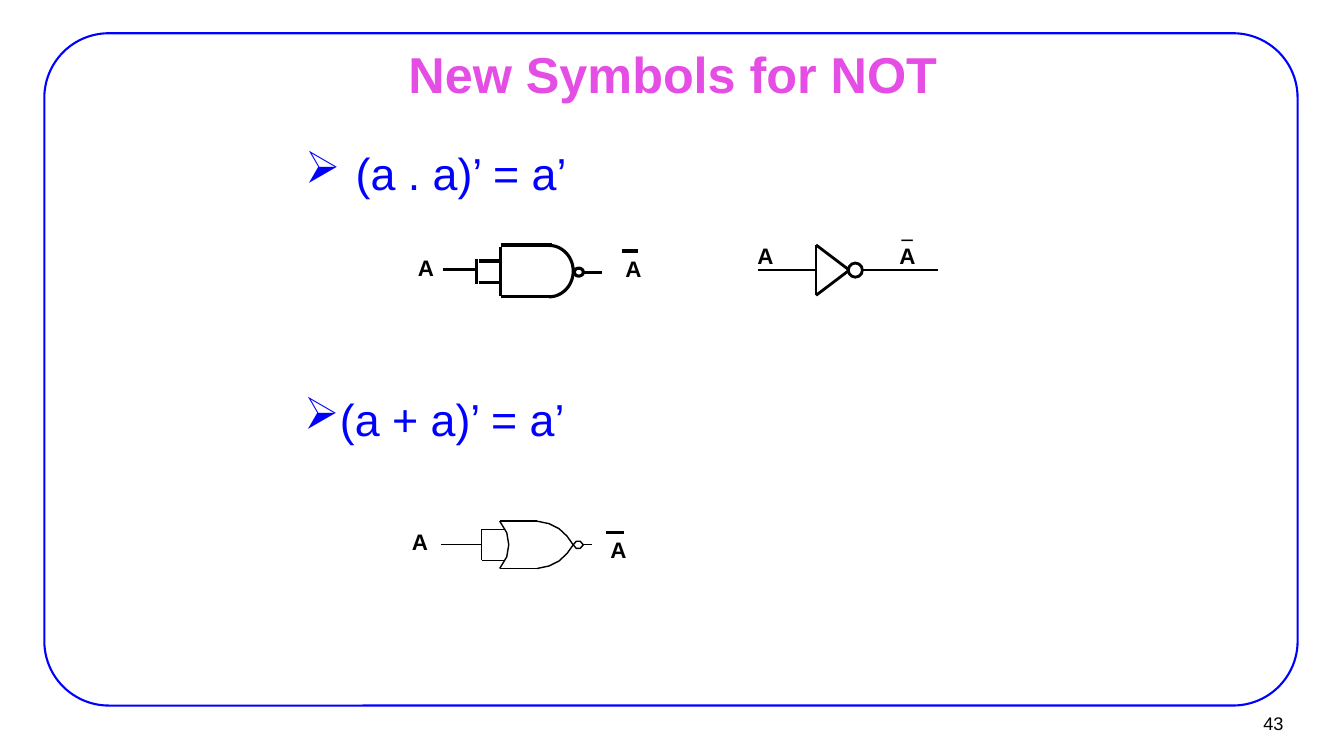
import math
import pptx
import pptx.util
import pptx.dml.color
import pptx.enum.shapes
import pptx.enum.text
from lxml import etree

SLIDE_W, SLIDE_H = 13.34, 7.5
COLORS = {"frame": "0000FF", "title": "E44EE4", "rule": "0000FF", "ink": "000000"}

TITLE = "New Symbols for NOT"
PAGE = "43"
# text, left, top, text indent, bullet hang
RULES = [("(a . a)’ = a’", 2.42, 1.39, 1, 0.5),
         ("(a + a)’ = a’", 2.41, 3.83, 0.81, 0.31)]

# Each gate is drawn from its origin: x of the body's back edge, y of its axis.
# wires: x1, y1, x2, y2, weight; bubble: left, top, width, height
# labels: text, left, top, width, font
GATES = [
    {"name": "nand", "origin": (4.97, 2.69),
     "wires": [(0.83, 0.01, 1.01, 0.01, 2.25),
               (-0.22, -0.1, 0, -0.1, 2.25), (-0.22, 0.11, 0, 0.11, 2.25),
               (0, -0.26, 0.51, -0.26, 2.25), (0, 0.25, 0.51, 0.25, 2.25),
               (0, -0.24, 0, 0.25, 2.25),
               (-0.24, -0.12, -0.24, 0.13, 2.25), (-0.24, -0.02, -0.57, -0.02, 2.25),
               (1.2, -0.2, 1.36, -0.2, 2.25)],
     "bubble": (0.73, -0.03, 0.09, 0.08, 2.25),
     "labels": [("A", -0.92, -0.22, 0.36, "Arial"), ("A", 1.14, -0.21, 0.36, "Arial")]},
    {"name": "inverter", "origin": (8.1, 2.68),
     "wires": [(0.46, 0, 1.21, 0, 1), (0, 0, -0.58, 0, 1),
               (0.33, 0, 0, -0.25, 2), (0.33, 0, 0, 0.25, 2), (0, 0.25, 0, -0.25, 2)],
     "bubble": (0.32, -0.07, 0.14, 0.14, 2),
     "labels": [("A", 0.73, -0.33, 0.36, "Arial"), ("A", -0.68, -0.33, 0.36, "Arial"),
                ("_", 0.75, -0.58, 0.31, "Times New Roman")]},
    {"name": "nor", "origin": (4.96, 5.405),
     "wires": [(0, -0.235, 0.37, -0.235, 1), (0, 0.235, 0.37, 0.235, 1),
               (-0.18, -0.155, 0.05, -0.155, 1), (-0.18, 0.155, 0.05, 0.155, 1),
               (0.83, 0, 0.92, 0, 1),
               (-0.18, -0.155, -0.18, 0.155, 0.75), (-0.18, 0, -0.58, 0, 0.75),
               (1.06, -0.125, 1.23, -0.125, 2.25)],
     "labels": [("A", -0.97, -0.215, 0.36, "Arial"), ("A", 1, -0.135, 0.36, "Arial")]},
]
NOR_NOSE = [(0.37, 0.235), (0.49, 0.21), (0.59, 0.16), (0.67, 0.085), (0.73, 0)]
NOR_BACK = [(0, 0.235), (0.07, 0.12), (0.09, 0), (0.07, -0.12), (0, -0.235)]
NOR_BUBBLE = [(0.83, 0), (0.8, -0.035), (0.76, -0.035), (0.73, 0),
              (0.76, 0.035), (0.8, 0.035), (0.83, 0)]

inch = pptx.util.Inches
prs = pptx.Presentation()
prs.slide_width, prs.slide_height = inch(SLIDE_W), inch(SLIDE_H)
slide = prs.slides.add_slide(prs.slide_layouts[6])


def rgb(name):
    return pptx.dml.color.RGBColor.from_string(COLORS[name])


def outline(shape, weight, color="ink"):
    shape.shadow.inherit = False
    shape.fill.background()
    shape.line.color.rgb = rgb(color)
    shape.line.width = pptx.util.Pt(weight)


def add_preset(kind, left, top, width, height, weight, color="ink"):
    shape = slide.shapes.add_shape(kind, inch(left), inch(top), inch(width), inch(height))
    outline(shape, weight, color)
    return shape


def add_wire(x1, y1, x2, y2, weight):
    wire = slide.shapes.add_connector(pptx.enum.shapes.MSO_CONNECTOR.STRAIGHT,
                                      inch(x1), inch(y1), inch(x2), inch(y2))
    wire.line.color.rgb = rgb("ink")
    wire.line.width = pptx.util.Pt(weight)
    etree.SubElement(wire._element.spPr, pptx.oxml.ns.qn("a:effectLst"))


def add_curve(points, origin, weight):
    spots = [(inch(origin[0] + x), inch(origin[1] + y)) for x, y in points]
    builder = slide.shapes.build_freeform(*spots[0])
    builder.add_line_segments(spots[1:], close=False)
    outline(builder.convert_to_shape(), weight)


def add_text(text, left, top, width, height, size, color="ink", font="Arial",
             bold=False, wrap=True, inset=(0.11, 0.06)):
    box = slide.shapes.add_textbox(inch(left), inch(top), inch(width), inch(height))
    frame = box.text_frame
    frame.word_wrap = wrap
    frame.margin_left = frame.margin_right = inch(inset[0])
    frame.margin_top = frame.margin_bottom = inch(inset[1])
    run = frame.paragraphs[0].add_run()
    run.text = text
    run.font.size, run.font.name, run.font.bold = pptx.util.Pt(size), font, bold
    run.font.color.rgb = rgb(color)
    return frame


# Frame, page number and title
border = add_preset(pptx.enum.shapes.MSO_SHAPE.ROUNDED_RECTANGLE,
                    0.44, 0.33, 12.44, 6.67, 1.5, "frame")
border.adjustments[0] = 0.096
page = add_text(PAGE, 12.02, 6.99, 0.81, 0.37, 13, wrap=False, inset=(0.09, 0.04))
page.vertical_anchor = pptx.enum.text.MSO_ANCHOR.MIDDLE
page.paragraphs[0].alignment = pptx.enum.text.PP_ALIGN.RIGHT
title = add_text(TITLE, 1.01, 0.44, 11.34, 0.49, 36, "title", bold=True)
title.paragraphs[0].alignment = pptx.enum.text.PP_ALIGN.CENTER
title.paragraphs[0].line_spacing = 0.9

# Bulleted rules
for text, left, top, indent, hang in RULES:
    rule = add_text(text, left, top, 8.5, 1, 32, "rule")
    props = rule.paragraphs[0]._p.get_or_add_pPr()
    props.set("marL", str(inch(indent)))
    props.set("indent", str(-inch(hang)))
    bullet_color = etree.SubElement(props, pptx.oxml.ns.qn("a:buClr"))
    etree.SubElement(bullet_color, pptx.oxml.ns.qn("a:srgbClr"), val=COLORS["rule"])
    etree.SubElement(props, pptx.oxml.ns.qn("a:buChar"), char="➢")

# Wires, bubbles and labels of the gates
for gate in GATES:
    ox, oy = gate["origin"]
    for x1, y1, x2, y2, weight in gate["wires"]:
        add_wire(ox + x1, oy + y1, ox + x2, oy + y2, weight)
    if "bubble" in gate:
        left, top, width, height, weight = gate["bubble"]
        add_preset(pptx.enum.shapes.MSO_SHAPE.OVAL, ox + left, oy + top, width, height, weight)
    for text, left, top, width, font in gate["labels"]:
        label = add_text(text, ox + left, oy + top, width, 0.37, 16, font=font,
                         bold=True, wrap=False, inset=(0.1, 0.05))
        label.auto_size = pptx.enum.text.MSO_AUTO_SIZE.SHAPE_TO_FIT_TEXT

# Round nose of the NAND gate, one quarter above and one below the axis
origins = {gate["name"]: gate["origin"] for gate in GATES}
STEPS = 16
angles = [math.pi / 2 * step / STEPS for step in range(STEPS + 1)]
for side in (-1, 1):
    quarter = [(0.48 + 0.24 * math.sin(a), side * 0.255 * math.cos(a)) for a in angles]
    add_curve(quarter, origins["nand"], 2.25)

# Curves of the NOR gate; the nose is mirrored about the axis
mirrored_nose = [(x, -y) for x, y in NOR_NOSE]
for curve in (NOR_NOSE, mirrored_nose, NOR_BACK, NOR_BUBBLE):
    add_curve(curve, origins["nor"], 1)

prs.save("out.pptx")
